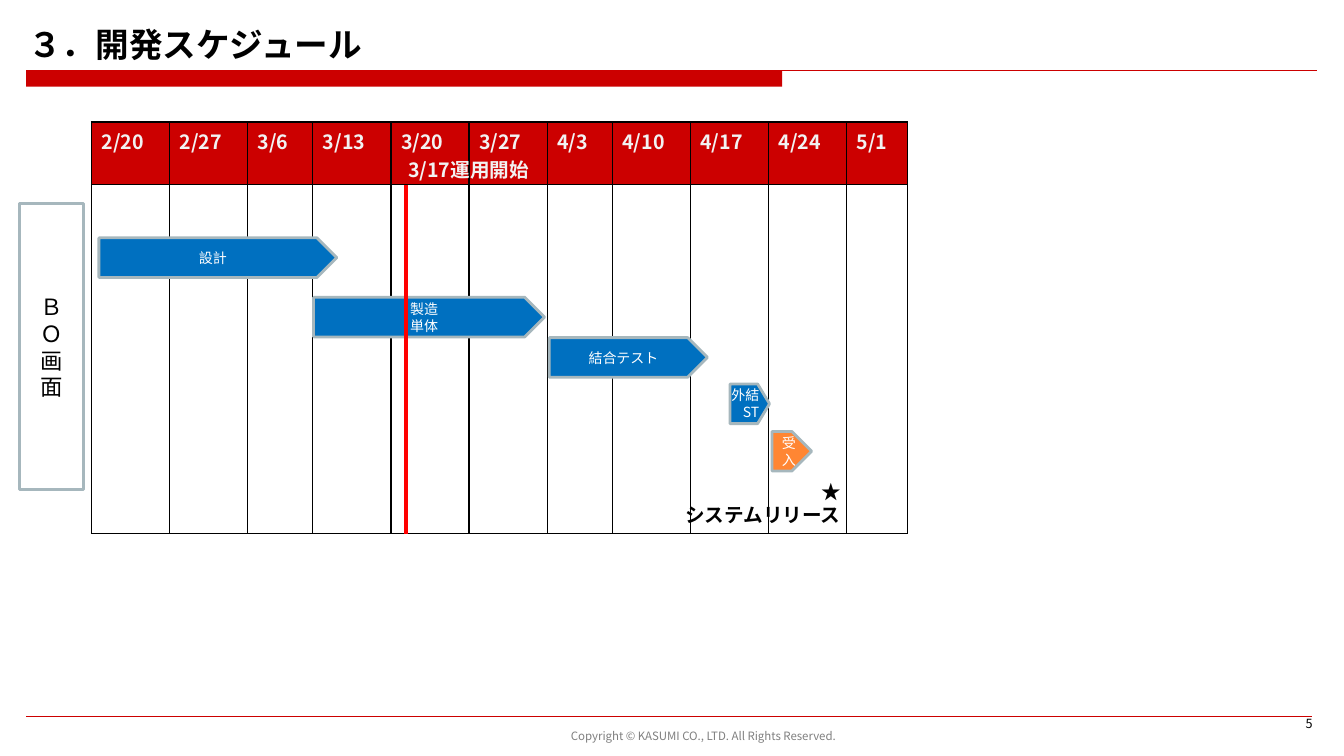
from lxml import etree
from pptx import Presentation
from pptx.dml.color import RGBColor
from pptx.enum.shapes import MSO_CONNECTOR, MSO_SHAPE
from pptx.enum.text import MSO_ANCHOR, MSO_AUTO_SIZE, PP_ALIGN
from pptx.oxml.ns import qn
from pptx.util import Pt

LEFT, CENTER, RIGHT = PP_ALIGN.LEFT, PP_ALIGN.CENTER, PP_ALIGN.RIGHT
TOP, MIDDLE = MSO_ANCHOR.TOP, MSO_ANCHOR.MIDDLE
RECT, ARROW = MSO_SHAPE.RECTANGLE, MSO_SHAPE.PENTAGON
STRAIGHT = MSO_CONNECTOR.STRAIGHT

FONT = "Noto Sans CJK JP"
BLACK = RGBColor(0x00, 0x00, 0x00)
WHITE = RGBColor(0xFF, 0xFF, 0xFF)
PALE = RGBColor(0xF2, 0xF2, 0xF2)
GRAY = RGBColor(0x80, 0x80, 0x80)
CRIMSON = RGBColor(0xCC, 0x00, 0x00)
RED = RGBColor(0xFF, 0x00, 0x00)
BLUE = RGBColor(0x00, 0x70, 0xC0)
ORANGE = RGBColor(0xFF, 0x86, 0x33)
OUTLINE = RGBColor(0xA6, 0xB7, 0xBD)

prs = Presentation()
prs.slide_width, prs.slide_height = Pt(960), Pt(540)
s = prs.slides.add_slide(prs.slide_layouts[5])


def write(tf, text, size, color, align=LEFT, bold=False, spacing=None):
    tf.word_wrap = True
    for i, line in enumerate(text.split("\n")):
        p = tf.paragraphs[0] if i == 0 else tf.add_paragraph()
        p.add_run().text = line
        p.alignment = align
        p.line_spacing = spacing
        p.font.size, p.font.bold, p.font.name = Pt(size), bold, FONT
        p.font.color.rgb = color
        etree.SubElement(p._p.pPr.find(qn("a:defRPr")), qn("a:ea"), typeface=FONT)


def add_line(x1, y1, x2, y2, color, width):
    line = s.shapes.add_connector(STRAIGHT, Pt(x1), Pt(y1), Pt(x2), Pt(y2))
    line.line.color.rgb = color
    line.line.width = Pt(width)
    etree.SubElement(line._element.spPr, qn("a:effectLst"))


# Header bar and footer rule
bar = s.shapes.add_shape(RECT, Pt(18.7), Pt(50.4), Pt(540), Pt(11.5))
bar.shadow.inherit = False
bar.fill.solid()
bar.fill.fore_color.rgb = CRIMSON
bar.line.fill.background()
add_line(18.7, 50.4, 941, 50.4, CRIMSON, 0.75)
add_line(18.7, 511.9, 937.4, 511.9, CRIMSON, 0.25)

# Title
title = s.shapes.title
title.left, title.top, title.width, title.height = Pt(13), Pt(16.6), Pt(800), Pt(36)
tf = title.text_frame
tf.auto_size = MSO_AUTO_SIZE.NONE
tf.vertical_anchor = TOP
write(tf, "３．開発スケジュール", 24, BLACK, bold=True, spacing=0.9)

# Schedule table
dates = ["2/20", "2/27", "3/6", "3/13", "3/20", "3/27",
         "4/3", "4/10", "4/17", "4/24", "5/1"]
narrow = {"3/6": 46.5, "4/3": 46.5, "5/1": 43.5}
table = s.shapes.add_table(2, len(dates), Pt(65.4), Pt(87.2), Pt(582.9), Pt(294)).table
table.rows[0].height, table.rows[1].height = Pt(44.4), Pt(249.6)
for col, date in enumerate(dates):
    table.columns[col].width = Pt(narrow.get(date, 55.8))
    head, body = table.cell(0, col), table.cell(1, col)
    write(head.text_frame, date, 14, PALE, bold=True)
    for cell in (head, body):
        tcPr = cell._tc.get_or_add_tcPr()
        for side in ("lnL", "lnR", "lnT", "lnB"):
            ln = etree.SubElement(tcPr, qn(f"a:{side}"), w=str(Pt(1)))
            fill = etree.SubElement(ln, qn("a:solidFill"))
            etree.SubElement(fill, qn("a:srgbClr"), val=str(BLACK))
    head.fill.solid()
    head.fill.fore_color.rgb = CRIMSON
    body.fill.background()

# Row label and task arrows: kind, left, top, width, height, fill, text, size, colour
blocks = [
    (RECT, 14.2, 145.6, 45.6, 204, None, "ＢＯ画面", 16, BLACK),
    (ARROW, 392.4, 241.2, 113, 28.3, BLUE, "結合テスト", 10, WHITE),
    (ARROW, 70.6, 169.9, 170, 28.3, BLUE, "設計", 10, WHITE),
    (ARROW, 224, 212.4, 165, 28.3, BLUE, "製造\n単体", 10, WHITE),
    (ARROW, 521.4, 274.3, 28.3, 28.3, BLUE, "", 10, WHITE),
    (ARROW, 551.5, 308.2, 28.3, 28.3, ORANGE, "受入", 10, WHITE),
]
for kind, x, y, w, h, fill, text, size, color in blocks:
    sp = s.shapes.add_shape(kind, Pt(x), Pt(y), Pt(w), Pt(h))
    sp.shadow.inherit = False
    if fill is None:
        sp.fill.background()
    else:
        sp.fill.solid()
        sp.fill.fore_color.rgb = fill
    sp.line.color.rgb = OUTLINE
    sp.line.width = Pt(2)
    if text:
        sp.text_frame.vertical_anchor = MIDDLE
        write(sp.text_frame, text, size, color, CENTER, spacing=Pt(1.2 * size))
    elif kind == ARROW:
        sp.adjustments[0] = 0.3

# Free labels: left, top, width, height, anchor, text, size, colour, align, bold, spacing
labels = [
    (284.4, 102.2, 144.7, 37.4, MIDDLE, "3/17運用開始", 14, PALE, LEFT, True, None),
    (471.6, 340.6, 136, 37.4, MIDDLE, "★\nシステムリリース", 14, BLACK, RIGHT, True, Pt(16.8)),
    (504, 269.3, 45.4, 37.4, MIDDLE, "外結\nST", 10, WHITE, RIGHT, False, Pt(12)),
    (109.4, 517, 786.2, 17.3, MIDDLE, "Copyright © KASUMI CO., LTD. All Rights Reserved.",
     8.2, GRAY, CENTER, False, None),
    (744.5, 509.5, 200.2, 14.4, TOP, "5", 9, BLACK, RIGHT, False, None),
]
for x, y, w, h, anchor, text, size, color, align, bold, spacing in labels:
    tf = s.shapes.add_textbox(Pt(x), Pt(y), Pt(w), Pt(h)).text_frame
    tf.vertical_anchor = anchor
    tf.margin_top = tf.margin_bottom = Pt(2)
    write(tf, text, size, color, align, bold, spacing)

# Start-of-operation marker
add_line(290.2, 132.5, 290.2, 381.6, RED, 3)

prs.save("out.pptx")
